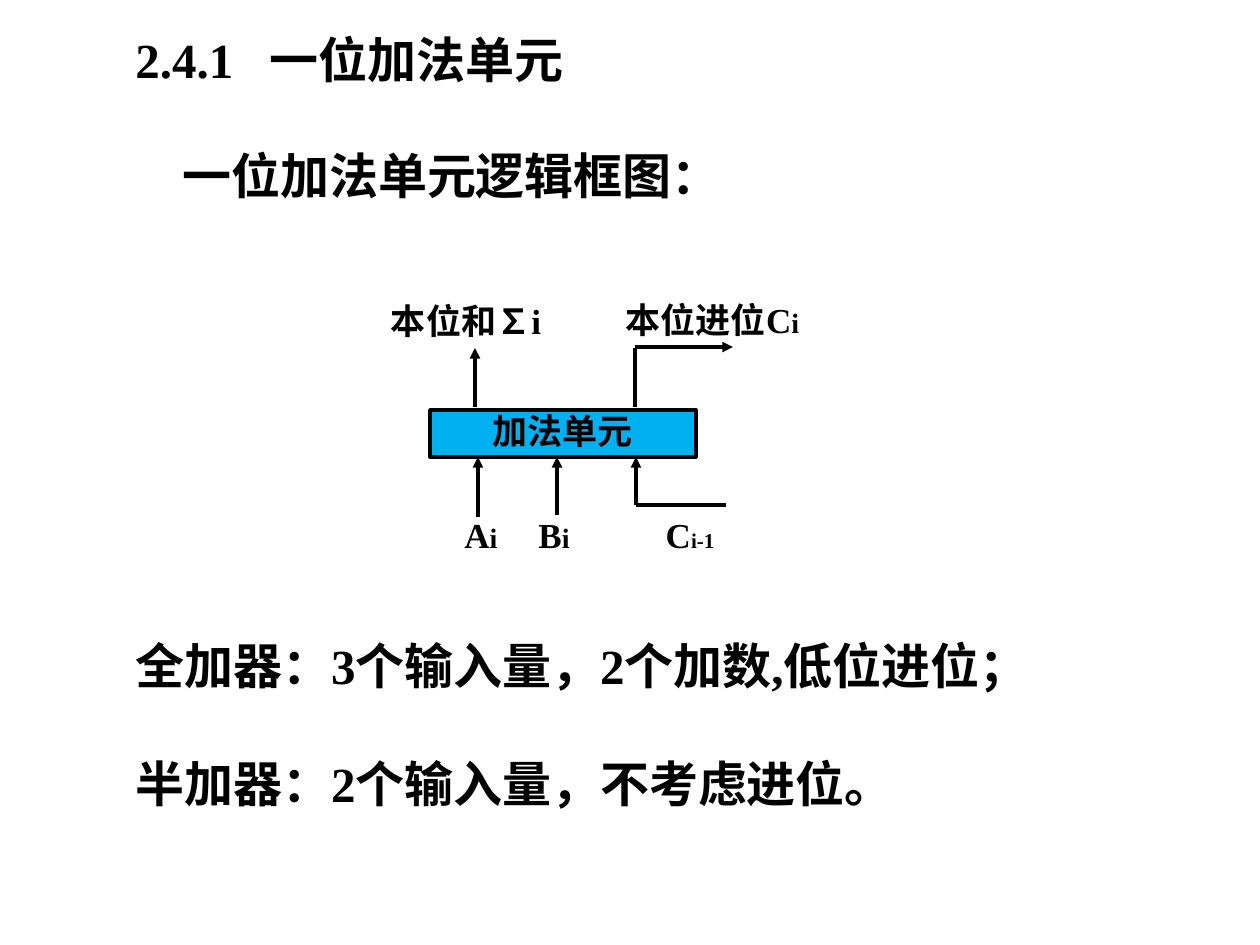
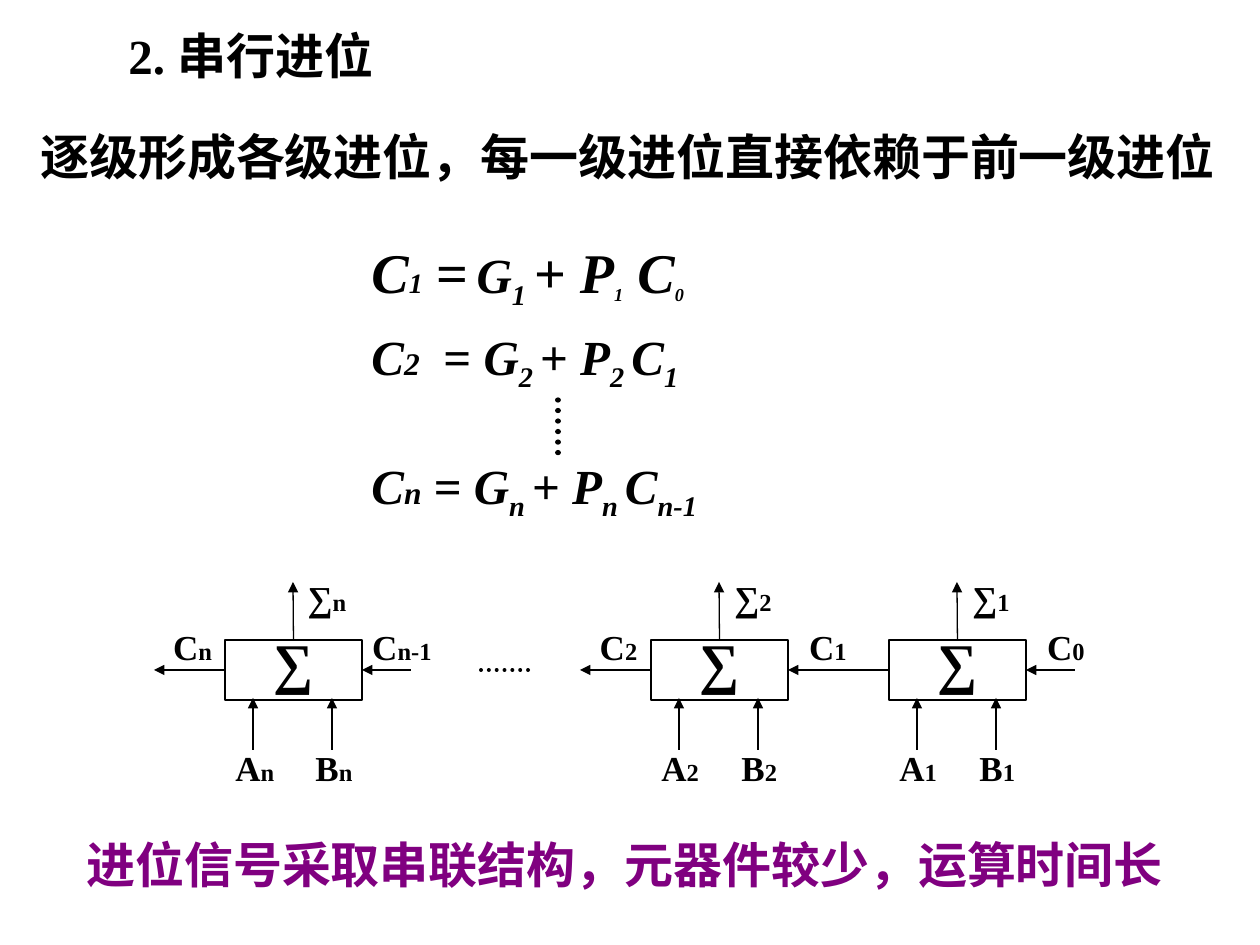
import pptx
import pptx.dml.color
import pptx.enum.dml
import pptx.enum.shapes
import pptx.enum.text
import pptx.oxml.ns
import pptx.util
import lxml.etree

SCALE = 914400 / 126
FONT = "Times New Roman"
BLACK, BLUE, PURPLE = "000000", "00B0F0", "800080"
LEFT = pptx.enum.text.PP_ALIGN.LEFT
MID = pptx.enum.text.PP_ALIGN.CENTER
TOP, RIGHT, BASE, SIDE = 0, 3, 2, 1


def px(size):
    return pptx.util.Emu(round(size * SCALE))


def paint(code):
    return pptx.dml.color.RGBColor.from_string(code)


def add_xml(node, tag, **attrs):
    name = pptx.oxml.ns.qn(tag)
    return lxml.etree.SubElement(node, name, attrs)


def write(frame, text, size=28, color=BLACK, align=LEFT, space=None, tab=None):
    """Fill a frame; text is a string or runs of (text, size, style).

    In a style, i means italic and - means lowered.
    """
    runs = [(text, size, "")] if isinstance(text, str) else text
    para = frame.paragraphs[0]
    para.alignment = align
    if space:
        para.line_spacing = space
    if tab:
        stops = add_xml(para._p.get_or_add_pPr(), "a:tabLst")
        add_xml(stops, "a:tab", pos=str(px(tab)), algn="l")
    for part, points, style in runs:
        run = para.add_run()
        run.text = part
        font = run.font
        font.name, font.size, font.bold = FONT, pptx.util.Pt(points), True
        font.italic = "i" in style
        font.color.rgb = paint(color)
        if "-" in style:
            font._element.set("baseline", "-25000")


def add_text(slide, box, text, wrap=True, **look):
    shape = slide.shapes.add_textbox(*map(px, box))
    frame = shape.text_frame
    frame.word_wrap = wrap
    frame.auto_size = pptx.enum.text.MSO_AUTO_SIZE.SHAPE_TO_FIT_TEXT
    write(frame, text, **look)


def add_tag(slide, box, runs, align=MID, **look):
    """Place a tight diagram label given as (text, size) pairs."""
    runs = [(text, size, "") for text, size in runs]
    add_text(slide, box, runs, align=align, space=0.7, **look)


def add_box(slide, box, text, width, size, fill=None):
    kind = pptx.enum.shapes.MSO_SHAPE.RECTANGLE
    shape = slide.shapes.add_shape(kind, *map(px, box))
    shape.shadow.inherit = False
    if fill:
        shape.fill.solid()
        shape.fill.fore_color.rgb = paint(fill)
    else:
        shape.fill.background()
    shape.line.color.rgb = paint(BLACK)
    shape.line.width = pptx.util.Pt(width)
    shape.text_frame.word_wrap = True
    shape.text_frame.vertical_anchor = pptx.enum.text.MSO_ANCHOR.TOP
    write(shape.text_frame, text, size=size, align=MID, space=0.7)
    return shape


def add_line(slide, start, end, width, arrow=False, dots=False,
             source=None, target=None):
    """Draw a line; source and target are (shape, side) joints."""
    kind = pptx.enum.shapes.MSO_CONNECTOR.STRAIGHT
    line = slide.shapes.add_connector(kind, *map(px, start + end))
    line.line.color.rgb = paint(BLACK)
    line.line.width = pptx.util.Pt(width)
    stroke = line.line._get_or_add_ln()
    if dots:
        line.line.dash_style = pptx.enum.dml.MSO_LINE.ROUND_DOT
        stroke.set("cap", "rnd")
    if arrow:
        add_xml(stroke, "a:tailEnd", type="triangle")
    add_xml(line._element.spPr, "a:effectLst")
    if source:
        line.begin_connect(*source)
    if target:
        line.end_connect(*target)


def draw_adder(slide, x, y):
    """Draw the one-bit adder block with its box at x, y."""
    def link(start, end, arrow=True):
        add_line(slide, (x + start[0], y + start[1]),
                 (x + end[0], y + end[1]), 2, arrow)

    def tag(left, top, wide, *runs, **look):
        add_tag(slide, (x + left, y + top, wide, 43), runs, **look)

    unit = add_box(slide, (x, y, 266, 47), "加法单元", 2, 20, BLUE)
    unit.text_frame.margin_top = px(10)
    unit.text_frame.vertical_anchor = pptx.enum.text.MSO_ANCHOR.MIDDLE
    for i, depth in enumerate((107, 105, 95)):
        link((48 + 79 * i, depth), (48 + 79 * i, 47))
    link((206, 95), (296, 95), arrow=False)
    link((45, -3), (45, -62))
    link((205, -3), (205, -62), arrow=False)
    link((205, -63), (303, -63))
    tag(22, 109, 149, ("A", 20), ("i", 16), ("\tB", 20), ("i", 16),
        align=LEFT, tab=74)
    tag(156, 109, 208, ("C", 20), ("i-1", 12))
    tag(-68, -105, 208, ("本位和∑i", 20))
    tag(166, -106, 233, ("本位进位C", 20), ("i", 16))


def draw_cell(slide, x, y, sub, carry, source=None, out=True):
    """Draw one stage with its box at x, y, fed by source if there is one."""
    def tag(left, top, wide, *runs, **look):
        add_tag(slide, (x + left, y + top, wide, 42), runs, **look)

    def link(start, end, **joints):
        add_line(slide, (x + start[0], y + start[1]),
                 (x + end[0], y + end[1]), 0.75, arrow=True, **joints)

    box = add_box(slide, (x, y, 137, 60), "∑", 0.75, 32)
    for left in (28, 107):
        link((left, 110), (left, 58))
    link((68, 0), (68, -58), source=(box, TOP))
    link((186, 30), (137, 30), target=(box, RIGHT),
         source=source and (source, SIDE))
    tag(-2, 112, 149, ("A", 20), (sub, 14), ("\tB", 20), (sub, 14),
        align=LEFT, tab=80)
    tag(47, -58, 110, ("∑", 20), (sub, 14))
    tag(127, -9, 100, ("C", 20), (carry, 14))
    if out:
        link((0, 30), (-71, 30), source=(box, SIDE))
        tag(-72, -9, 79, ("C", 20), (sub, 14))
    return box


def draw_chain(slide, x, y):
    first = draw_cell(slide, x + 664, y, "1", "0", out=False)
    draw_cell(slide, x + 426, y, "2", "1", source=first)
    draw_cell(slide, x, y, "n", "n-1")
    add_line(slide, (x + 256, y + 30), (x + 305, y + 30), 2.25, dots=True)


def list_terms(sub, prev, gap):
    """Give the runs of a carry formula; gap stands before the equals sign."""
    return [("C", 28, "i"), (sub, 18, "i"), (gap + "= ", 28, ""),
            ("G", 28, "i"), (sub + " ", 28, "i-"), ("+ ", 28, ""),
            ("P", 28, "i"), (sub + " ", 28, "i-"),
            ("C", 28, "i"), (prev, 28, "i-")]


def draw_sums(slide, x, y):
    first = [("C", 32, "i"), ("1", 16, "i"), (" =", 32, ""), (" ", 18, ""),
             ("G", 28, "i"), ("1", 28, "i-"), (" ", 18, ""), ("+ ", 32, ""),
             ("P", 32, "i"), ("1", 18, "i-"), (" ", 32, ""),
             ("C", 32, "i"), ("0", 18, "i-")]
    add_text(slide, (x, y, 354, 79), first, wrap=False)
    add_text(slide, (x, y + 89, 358, 72), list_terms("2", "1", "\t"),
             wrap=False, tab=72)
    add_line(slide, (x + 199, y + 169), (x + 199, y + 228), 3, dots=True)
    add_text(slide, (x, y + 218, 382, 72), list_terms("n", "n-1", " "),
             wrap=False)


def fill_unit(slide):
    add_text(slide, (123, 23, 536, 72), "2.4.1\t一位加法单元", tab=134)
    add_text(slide, (170, 139, 713, 72), "一位加法单元逻辑框图：")
    draw_adder(slide, 430, 410)
    add_text(slide, (123, 629, 906, 72),
             "全加器：3个输入量，2个加数,低位进位；")
    add_text(slide, (123, 747, 881, 72), "半加器：2个输入量，不考虑进位。")


def fill_chain(slide):
    add_text(slide, (116, 19, 367, 72), "2. 串行进位")
    add_text(slide, (28, 120, 1216, 72),
             "逐级形成各级进位，每一级进位直接依赖于前一级进位")
    draw_sums(slide, 359, 231)
    draw_chain(slide, 225, 640)
    add_text(slide, (74, 828, 1121, 72),
             "进位信号采取串联结构，元器件较少，运算时间长", color=PURPLE)


def main():
    deck = pptx.Presentation()
    deck.slide_width, deck.slide_height = px(1260), px(945)
    for fill in (fill_unit, fill_chain):
        fill(deck.slides.add_slide(deck.slide_layouts[6]))
    deck.save("out.pptx")


if __name__ == "__main__":
    main()
